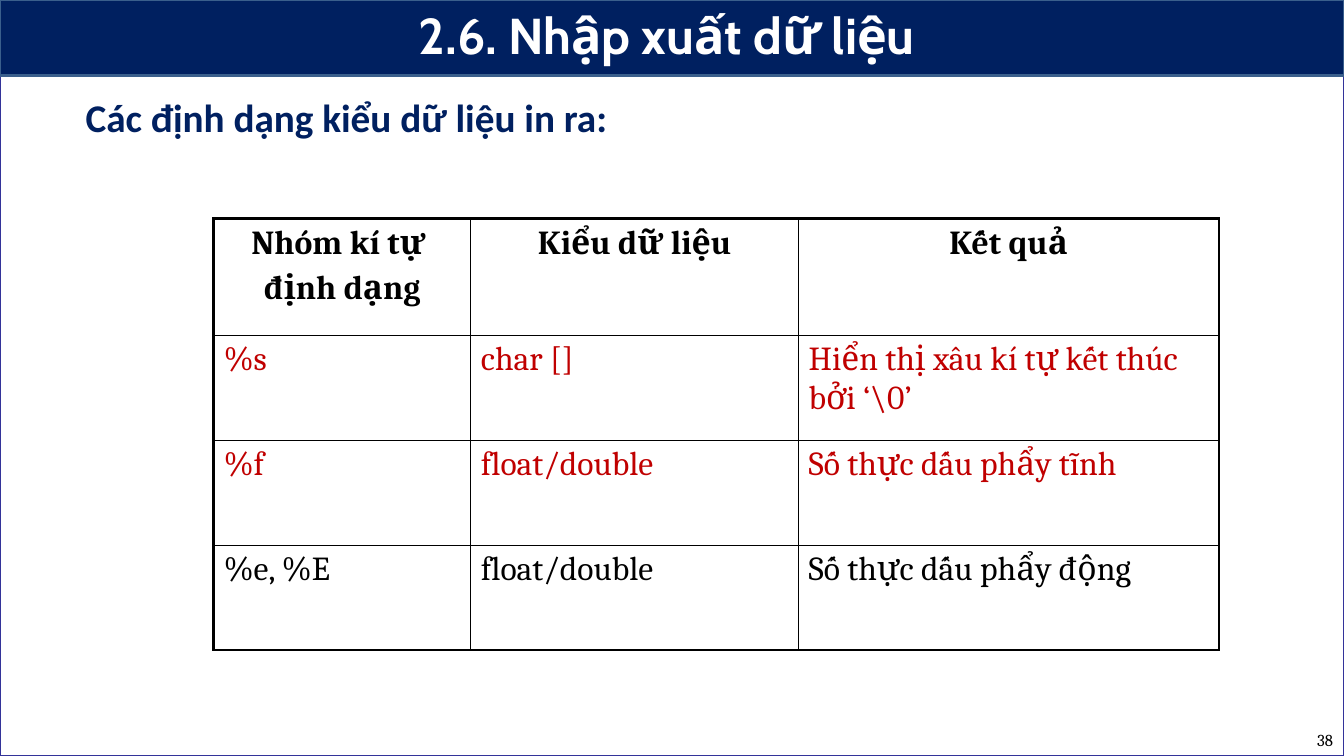
from dataclasses import dataclass

from lxml import etree
from pptx import Presentation
from pptx import util as u
from pptx.dml.color import RGBColor
from pptx.enum import shapes, text
from pptx.oxml import ns

PX = 9144


@dataclass(frozen=True)
class Theme:
    navy: str = "002060"
    band_edge: str = "3A5F8C"
    frame: str = "333399"
    white: str = "FFFFFF"
    black: str = "000000"
    red: str = "C00000"
    title_size: int = 36
    heading_size: int = 28
    table_size: int = 24
    number_size: int = 12
    title_font: str = "Cabin"
    heading_font: str = "Calibri"
    body_font: str = "Cambria"
    thin: float = 1
    thick: float = 2.25


def px(length):
    return u.Emu(length * PX)


def write(frame, content, *, size, font, color, bold=False,
          align=text.PP_ALIGN.LEFT, gap=0):
    for index, line in enumerate(content.split("\n")):
        paragraph = frame.paragraphs[0] if index == 0 else frame.add_paragraph()
        paragraph.alignment = align
        if index:
            paragraph.space_before = u.Pt(gap)
        run = paragraph.add_run()
        run.text = line
        run.font.size = u.Pt(size)
        run.font.name = font
        run.font.bold = bold
        run.font.color.rgb = RGBColor.from_string(color)


class SlideBuilder:
    def __init__(self, slide, theme):
        self.slide = slide
        self.theme = theme

    def panel(self, left, top, width, height, fill, line):
        shape = self.slide.shapes.add_shape(
            shapes.MSO_SHAPE.RECTANGLE, *map(px, (left, top, width, height)))
        shape.shadow.inherit = False
        shape.fill.solid()
        shape.fill.fore_color.rgb = RGBColor.from_string(fill)
        shape.line.color.rgb = RGBColor.from_string(line)
        shape.line.width = u.Pt(2)

    def label(self, left, top, width, height, content, **style):
        frame = self.slide.shapes.add_textbox(
            *map(px, (left, top, width, height))).text_frame
        frame.word_wrap = True
        frame.vertical_anchor = text.MSO_ANCHOR.MIDDLE
        write(frame, content, **style)

    def border(self, cell, side, width):
        properties = cell._tc.get_or_add_tcPr()
        line = etree.SubElement(
            properties, ns.qn(f"a:ln{side}"), w=str(u.Pt(width)))
        fill = etree.SubElement(line, ns.qn("a:solidFill"))
        etree.SubElement(fill, ns.qn("a:srgbClr"), val=self.theme.black)

    def table(self, left, top, widths, heights, rows, row_colors):
        theme = self.theme
        table = self.slide.shapes.add_table(
            len(rows), len(widths), px(left), px(top),
            px(sum(widths)), px(sum(heights))).table
        table.first_row = table.horz_banding = False
        for column, width in zip(table.columns, widths):
            column.width = px(width)
        for r, (values, height, color) in enumerate(zip(rows, heights, row_colors)):
            table.rows[r].height = px(height)
            header = r == 0
            for c, value in enumerate(values):
                cell = table.cell(r, c)
                outer = {"L": c == 0, "R": c == len(widths) - 1,
                         "T": header, "B": False}
                for side, is_outer in outer.items():
                    self.border(cell, side, theme.thick if is_outer else theme.thin)
                cell.fill.background()
                write(cell.text_frame, value, size=theme.table_size,
                      font=theme.body_font, color=color, bold=header, gap=5,
                      align=text.PP_ALIGN.CENTER if header else text.PP_ALIGN.LEFT)


def main():
    theme = Theme()
    presentation = Presentation()
    presentation.slide_width = px(1333)
    presentation.slide_height = px(750)
    slide = presentation.slides.add_slide(presentation.slide_layouts[6])
    builder = SlideBuilder(slide, theme)

    builder.panel(0, 0, 1333, 750, theme.white, theme.frame)
    builder.panel(0, 0, 1333, 75, theme.navy, theme.band_edge)
    builder.table(
        212, 217, (255, 325, 417), (116, 104, 104, 104),
        (
            ("Nhóm kí tự \nđịnh dạng", "Kiểu dữ liệu", "Kết quả"),
            ("%s", "char []", "Hiển thị xâu kí tự kết thúc bởi ‘\\0’"),
            ("%f", "float/double", "Số thực dấu phẩy tĩnh"),
            ("%e, %E", "float/double", "Số thực dấu phẩy động"),
        ),
        (theme.black, theme.red, theme.red, theme.black))
    builder.label(1265, 717, 67, 33, "38", size=theme.number_size,
                  font=theme.body_font, color=theme.black,
                  align=text.PP_ALIGN.RIGHT)
    builder.label(0, -3, 1323, 75, "2.6. Nhập xuất dữ liệu",
                  size=theme.title_size, font=theme.title_font,
                  color=theme.white, bold=True, align=text.PP_ALIGN.CENTER)
    builder.label(75, 87, 668, 57, "Các định dạng kiểu dữ liệu in ra:",
                  size=theme.heading_size, font=theme.heading_font,
                  color=theme.navy, bold=True)
    presentation.save("out.pptx")


if __name__ == "__main__":
    main()
